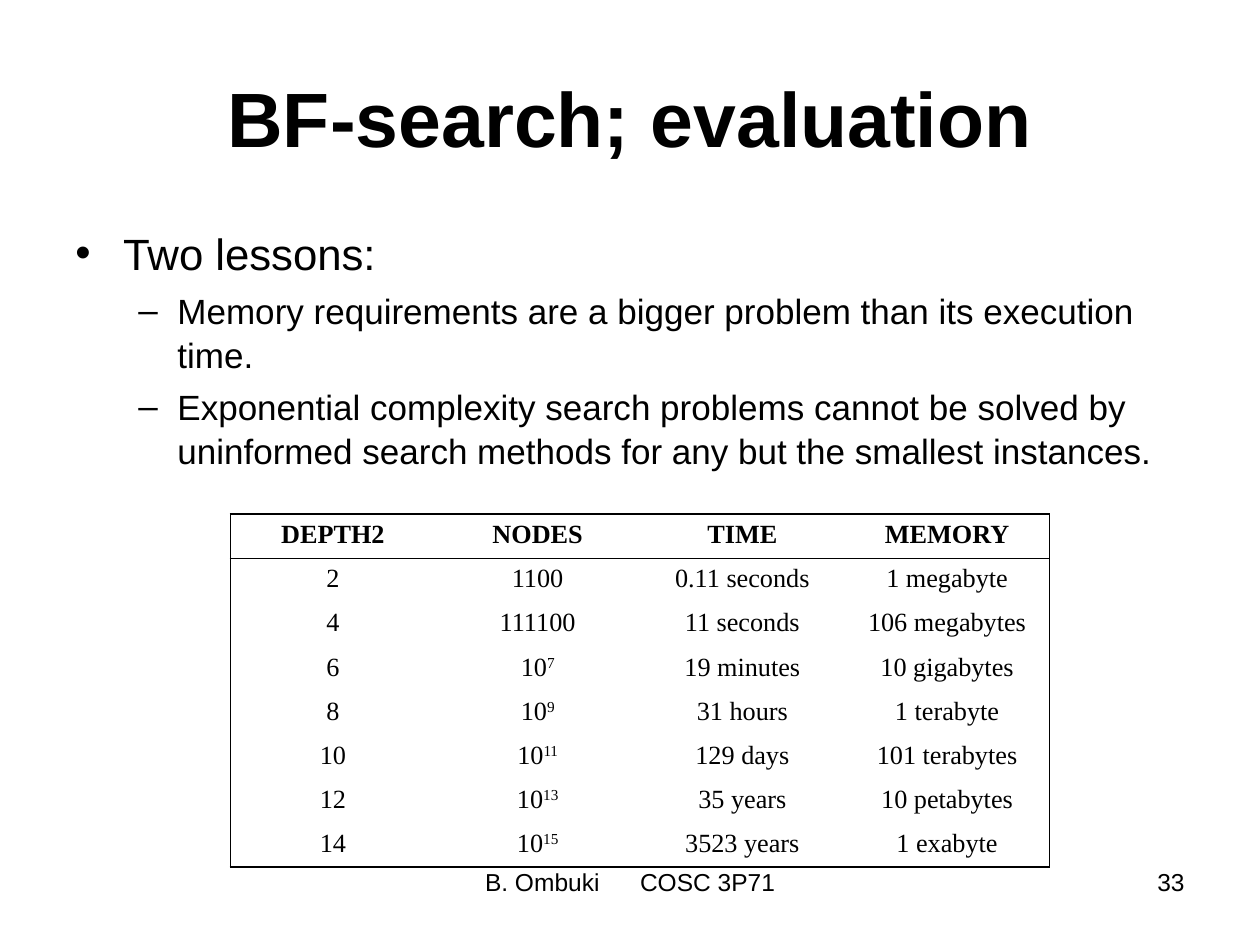
from dataclasses import dataclass

from lxml.etree import SubElement as Sub
from pptx import Presentation as Deck
from pptx.dml.color import RGBColor as Rgb
from pptx.enum.text import MSO_ANCHOR as Anchor, PP_ALIGN as Align
from pptx.oxml.ns import qn
from pptx.util import Inches as In, Pt


@dataclass(frozen=True)
class Theme:
    ink: Rgb = Rgb(0, 0, 0)
    sans: str = "Arial"
    serif: str = "Times New Roman"
    title: float = 44
    lead: float = 25
    point: float = 20
    cell: float = 15
    foot: float = 14
    edge: float = 1.08
    rule: float = 0.45


def apply(item, vals):
    for key, val in vals.items():
        setattr(item, key, val)


class Page:
    """Holds the theme and the slide, and draws each kind of element."""

    def __init__(self, deck, theme):
        self.theme = theme
        self.slide = deck.slides.add_slide(deck.slide_layouts[6])

    def style(self, run, size, face, bold=False):
        apply(run.font, {"size": Pt(size), "name": face, "bold": bold})
        run.font.color.rgb = self.theme.ink

    def frame(self, box, **vals):
        shape = self.slide.shapes.add_textbox(*map(In, box))
        apply(shape.text_frame, {"word_wrap": True, **vals})
        return shape.text_frame

    def label(self, box, text, size, align, bold=False, **vals):
        para = self.frame(box, **vals).paragraphs[0]
        para.alignment = align
        run = para.add_run()
        run.text = text
        self.style(run, size, self.theme.sans, bold)
        return para

    def tab(self, para, pos):
        tabs = Sub(para._p.get_or_add_pPr(), qn("a:tabLst"))
        Sub(tabs, qn("a:tab"), pos=str(In(pos)), algn="l")

    def bullets(self, box, items):
        frame = self.frame(box)
        for num, (text, level) in enumerate(items):
            para = frame.add_paragraph() if num else frame.paragraphs[0]
            left, hang, mark, size = (
                (0.81, 0.31, "–", self.theme.point) if level
                else (0.38, 0.38, "•", self.theme.lead))
            vals = {"level": level}
            if num:
                vals.update(space_before=Pt(5), line_spacing=1.04)
            apply(para, vals)
            props = para._p.get_or_add_pPr()
            props.set("marL", str(In(left)))
            props.set("indent", str(-In(hang)))
            Sub(props, qn("a:buFont"), typeface=self.theme.sans)
            Sub(props, qn("a:buChar"), char=mark)
            run = para.add_run()
            run.text = text
            self.style(run, size, self.theme.sans)

    def border(self, cell, sides):
        props = cell._tc.get_or_add_tcPr()
        for side in "LRTB":
            width = sides.get(side)
            line = Sub(props, qn("a:ln" + side), w=str(Pt(width or 0)))
            if width:
                fill = Sub(line, qn("a:solidFill"))
                Sub(fill, qn("a:srgbClr"), val=str(self.theme.ink))
            else:
                Sub(line, qn("a:noFill"))

    def table(self, box, rows):
        last, end = len(rows) - 1, len(rows[0]) - 1
        grid = self.slide.shapes.add_table(last + 1, end + 1, *map(In, box)).table
        apply(grid, {"first_row": False, "horz_banding": False})
        edge, rule = self.theme.edge, self.theme.rule
        for r, row in enumerate(rows):
            for c, text in enumerate(row):
                cell = grid.cell(r, c)
                self.border(cell, {
                    "L": edge if c == 0 else 0,
                    "R": edge if c == end else 0,
                    "T": {0: edge, 1: rule}.get(r, 0),
                    "B": {0: rule, last: edge}.get(r, 0)})
                cell.fill.background()
                para = cell.text_frame.paragraphs[0]
                para.alignment = Align.CENTER
                base, _, power = text.partition("^")
                for part in filter(None, (base, power)):
                    run = para.add_run()
                    run.text = part
                    self.style(run, self.theme.cell, self.theme.serif, r == 0)
                if power:
                    run._r.get_or_add_rPr().set("baseline", "30000")


def main():
    deck = Deck()
    apply(deck, {"slide_width": In(10), "slide_height": In(7.5)})
    theme = Theme()
    page = Page(deck, theme)
    page.label((0.5, 0.3, 9, 1.25), "BF-search; evaluation", theme.title,
               Align.CENTER, True, vertical_anchor=Anchor.MIDDLE)
    page.bullets((0.5, 1.75, 9, 4.95), [
        ("Two lessons:", 0),
        ("Memory requirements are a bigger problem than its execution time.", 1),
        ("Exponential complexity search problems cannot be solved by "
         "uninformed search methods for any but the smallest instances.", 1)])
    page.table((1.83, 4.08, 6.5, 2.65), [
        ("DEPTH2", "NODES", "TIME", "MEMORY"),
        ("2", "1100", "0.11 seconds", "1 megabyte"),
        ("4", "111100", "11 seconds", "106 megabytes"),
        ("6", "10^7", "19 minutes", "10 gigabytes"),
        ("8", "10^9", "31 hours", "1 terabyte"),
        ("10", "10^11", "129 days", "101 terabytes"),
        ("12", "10^13", "35 years", "10 petabytes"),
        ("14", "10^15", "3523 years", "1 exabyte")])
    foot = page.label((3.42, 6.83, 3.17, 0.52), "B. Ombuki\tCOSC 3P71",
                      theme.foot, Align.LEFT, margin_left=In(0.43))
    page.tab(foot, 1.23)
    page.label((7.17, 6.83, 2.33, 0.52), "33", theme.foot, Align.RIGHT)
    deck.save("out.pptx")


if __name__ == "__main__":
    main()
